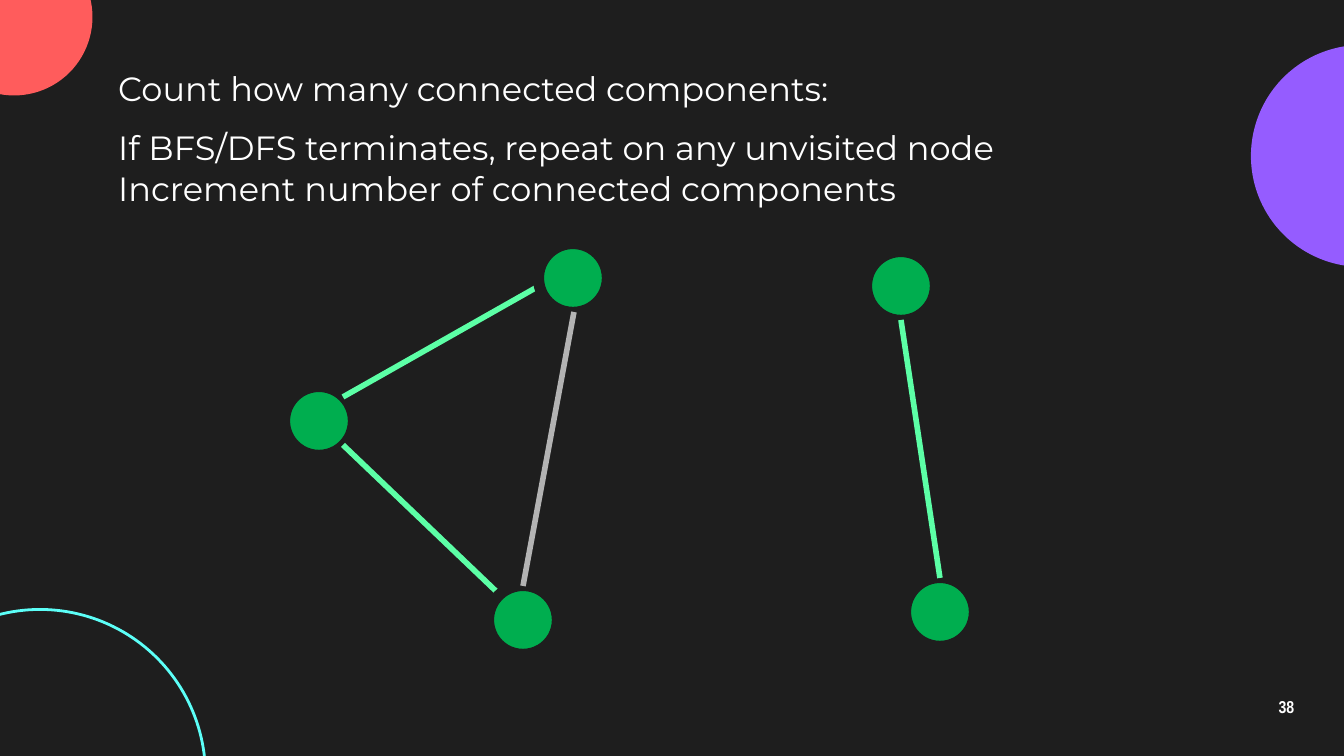
from pptx import Presentation
from pptx import util as u
from pptx.dml.color import RGBColor
from pptx.enum import shapes, text
from pptx.oxml.ns import qn
from lxml import etree

DARK = RGBColor(0x1E, 0x1E, 0x1E)
WHITE = RGBColor(0xFF, 0xFF, 0xFF)
PURPLE = RGBColor(0x95, 0x5C, 0xFF)
CORAL = RGBColor(0xFF, 0x5C, 0x5C)
CYAN = RGBColor(0x5C, 0xFF, 0xF8)
GREEN = RGBColor(0x00, 0xAE, 0x4F)
MINT = RGBColor(0x5C, 0xFF, 0xA6)
GRAY = RGBColor(0xB3, 0xB3, 0xB3)

DISCS = [
    ((1362, 156), 222, PURPLE, None, 0),
    ((14, 17), 157, CORAL, None, 0),
    ((40, 775), 331, None, CYAN, 1.5),
]
NOTES = [
    (55, ["Count how many connected components:"]),
    (114, ["If BFS/DFS terminates, repeat on any unvisited node",
           "Increment number of connected components"]),
]
NODE = 69
GRAPH = [
    ("node", (319, 421)),
    ("edge", (343, 397), (539, 286), MINT),
    ("node", (573, 278)),
    ("edge", (500, 595), (343, 445), MINT),
    ("node", (901, 286)),
    ("node", (523, 620)),
    ("node", (940, 612)),
    ("edge", (901, 320), (940, 578), MINT),
    ("edge", (523, 586), (574, 312), GRAY),
]


def px(n):
    return round(n * 914400 / 134.4)


def disc(mid, size, fill, line, width):
    left, top = (px(c - size / 2) for c in mid)
    shape = slide.shapes.add_shape(shapes.MSO_SHAPE.OVAL, left, top, px(size), px(size))
    shape.shadow.inherit = False
    if fill is None:
        shape.fill.background()
    else:
        shape.fill.solid()
        shape.fill.fore_color.rgb = fill
    if line is None:
        shape.line.fill.background()
    else:
        shape.line.color.rgb = line
        shape.line.width = u.Pt(width)


def edge(start, end, color):
    line = slide.shapes.add_connector(
        shapes.MSO_CONNECTOR.STRAIGHT, *(px(c) for c in start + end))
    line.line.color.rgb = color
    line.line.width = u.Pt(3)
    etree.SubElement(line._element.spPr, qn("a:effectLst"))


def write(box, lines, face, size, bold=False, align=None, space=None, anchor=None):
    frame = slide.shapes.add_textbox(*(px(c) for c in box)).text_frame
    frame.word_wrap = True
    frame.vertical_anchor = anchor
    frame.margin_left = frame.margin_right = u.Inches(0.1)
    frame.margin_top = frame.margin_bottom = u.Inches(0.1)
    frame.text = "\n".join(lines)
    for para in frame.paragraphs:
        para.alignment = align
        para.line_spacing = space
        font = para.font
        font.name, font.size, font.bold = face, u.Pt(size), bold
        font.color.rgb = WHITE


deck = Presentation()
deck.slide_width, deck.slide_height = px(1344), px(756)
slide = deck.slides.add_slide(deck.slide_layouts[6])
slide.background.fill.solid()
slide.background.fill.fore_color.rgb = DARK

for item in DISCS:
    disc(*item)
write((1246, 685, 81, 46), ["38"], "Arial Narrow", 9.2, True,
      text.PP_ALIGN.CENTER, 0.9, text.MSO_ANCHOR.MIDDLE)
for top, lines in NOTES:
    write((105, top, 1064, 69), lines, "Montserrat", 18)
for kind, *spec in GRAPH:
    if kind == "node":
        disc(spec[0], NODE, GREEN, DARK, 6)
    else:
        edge(*spec)

deck.save("out.pptx")
